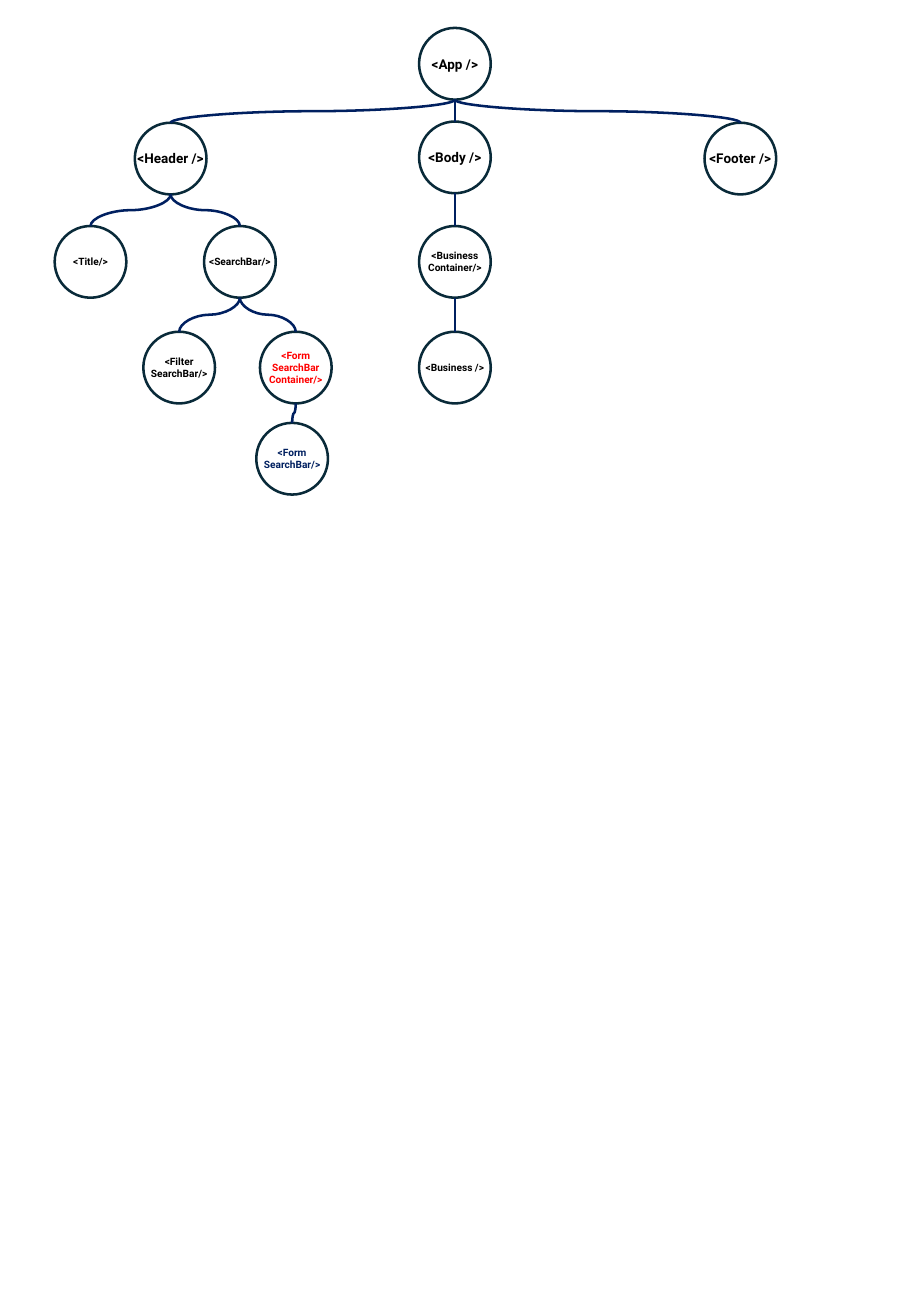
from pptx import Presentation
from pptx.dml.color import RGBColor
from pptx.enum.shapes import MSO_CONNECTOR, MSO_SHAPE
from pptx.enum.text import MSO_ANCHOR, PP_ALIGN
from pptx.oxml.ns import qn
from pptx.util import Inches, Pt
from lxml.etree import SubElement

WHITE = RGBColor(0xFF, 0xFF, 0xFF)
BLACK = RGBColor(0x00, 0x00, 0x00)
RED = RGBColor(0xFF, 0x00, 0x00)
NAVY = RGBColor(0x00, 0x20, 0x60)
DARK_TEAL = RGBColor(0x09, 0x2A, 0x39)

FONT = "Roboto"
DIAMETER = 0.59
OUTLINE = Pt(1.5)

COMPONENTS = {
    "app": ("<App />", 3.45, 0.23, 8, BLACK),
    "header": ("<Header />", 1.11, 1.01, 8, BLACK),
    "body": ("<Body />", 3.45, 1.0, 8, BLACK),
    "footer": ("<Footer />", 5.8, 1.01, 8, BLACK),
    "title": ("<Title/>", 0.45, 1.86, 6, BLACK),
    "search bar": ("<SearchBar/>", 1.68, 1.86, 6, BLACK),
    "business container": ("<Business\nContainer/>", 3.45, 1.86, 6, BLACK),
    "filter": ("<Filter\nSearchBar/>", 1.18, 2.73, 6, BLACK),
    "form container": ("<Form\nSearchBar\nContainer/>", 2.14, 2.73, 6, RED),
    "business": ("<Business />", 3.45, 2.73, 6, BLACK),
    "form": ("<Form\nSearchBar/>", 2.11, 3.48, 6, NAVY),
}

CHILDREN = {
    "app": ["header", "body", "footer"],
    "header": ["title", "search bar"],
    "search bar": ["filter", "form container"],
    "form container": ["form"],
    "body": ["business container"],
    "business container": ["business"],
}


def add_component(slide, label, left, top, size, color):
    circle = slide.shapes.add_shape(
        MSO_SHAPE.OVAL, Inches(left), Inches(top), Inches(DIAMETER), Inches(DIAMETER)
    )
    circle.shadow.inherit = False
    circle.fill.solid()
    circle.fill.fore_color.rgb = WHITE
    circle.line.color.rgb = DARK_TEAL
    circle.line.width = OUTLINE

    frame = circle.text_frame
    frame.margin_left = frame.margin_right = 0
    frame.margin_top = frame.margin_bottom = 0
    frame.word_wrap = False
    frame.vertical_anchor = MSO_ANCHOR.MIDDLE
    frame.text = label
    for paragraph in frame.paragraphs:
        paragraph.alignment = PP_ALIGN.CENTER
        paragraph.font.name = FONT
        paragraph.font.size = Pt(size)
        paragraph.font.bold = True
        paragraph.font.color.rgb = color
    return circle


def add_branch(slide, parent, child):
    start_x = parent.left + parent.width // 2
    start_y = parent.top + parent.height
    end_x = child.left + child.width // 2
    drop = child.top - start_y
    middle_x = (start_x + end_x) // 2
    middle_y = start_y + drop // 2

    # A quarter turn swaps the extents, so the curve leaves vertically.
    half_span = abs(end_x - start_x) // 2
    goes_right = end_x > start_x
    half_drop = drop // 2 if goes_right else -drop // 2
    branch = slide.shapes.add_connector(
        MSO_CONNECTOR.CURVE,
        middle_x + half_drop, middle_y - half_span,
        middle_x - half_drop, middle_y + half_span,
    )
    branch.line.color.rgb = NAVY
    branch.line.width = OUTLINE
    properties = branch.element.spPr
    quarter_turns = 3 if goes_right else 1
    properties.find(qn("a:xfrm")).set("rot", str(quarter_turns * 90 * 60000))
    SubElement(properties, qn("a:effectLst"))


def main():
    presentation = Presentation()
    presentation.slide_width = Inches(7.5)
    presentation.slide_height = Inches(10.83)
    slide = presentation.slides.add_slide(presentation.slide_layouts.get_by_name("Blank"))

    circles = {
        name: add_component(slide, *component) for name, component in COMPONENTS.items()
    }
    for parent, children in CHILDREN.items():
        for child in children:
            add_branch(slide, circles[parent], circles[child])

    presentation.save("out.pptx")


if __name__ == "__main__":
    main()
